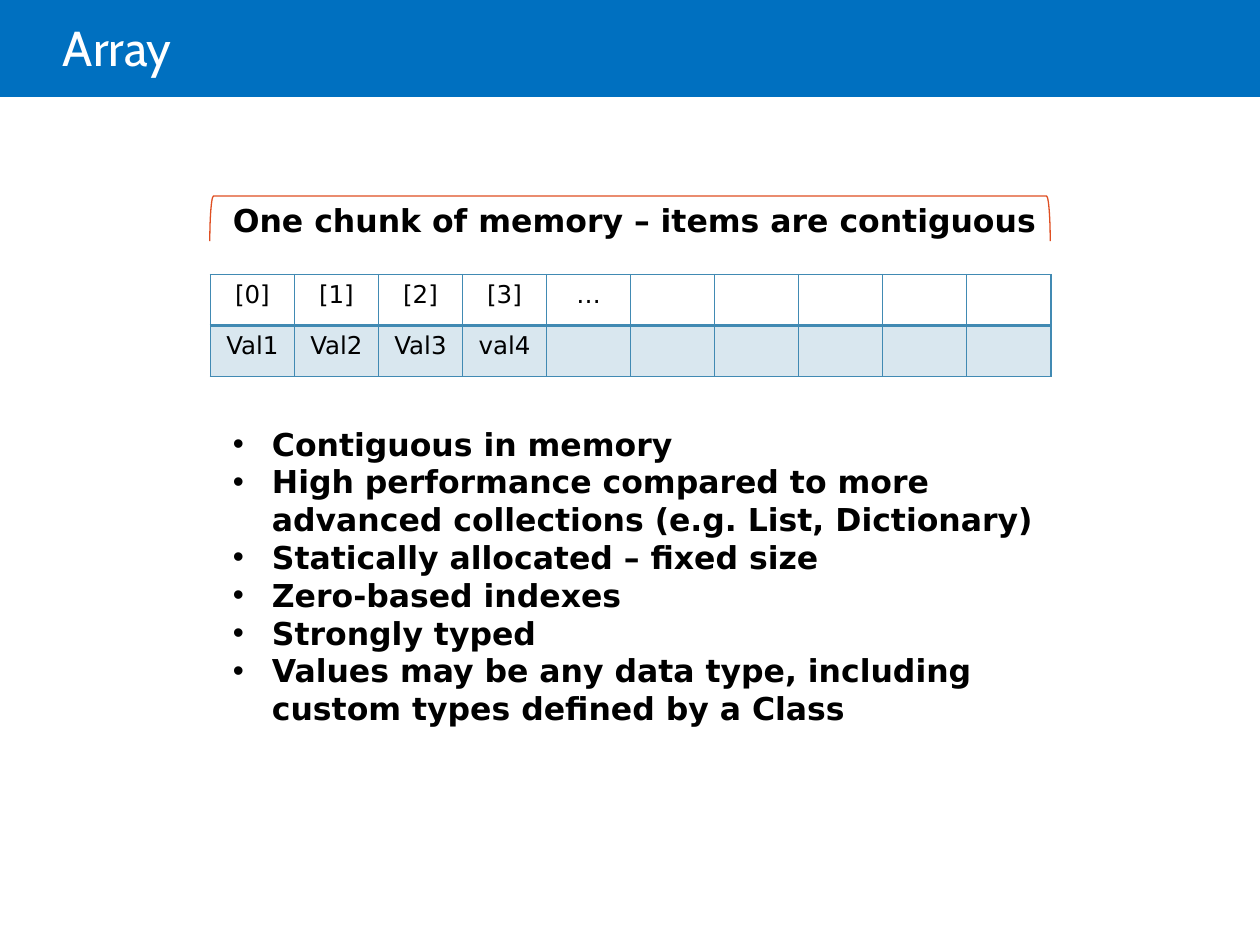
"""Build a slide that explains how an array is laid out in memory."""
from dataclasses import dataclass
from typing import Any

from lxml.etree import SubElement
from pptx import Presentation
from pptx.dml.color import RGBColor
from pptx.enum.shapes import MSO_SHAPE as Shape
from pptx.enum.text import MSO_ANCHOR as Anchor, MSO_AUTO_SIZE as AutoSize, PP_ALIGN as Align
from pptx.oxml.ns import qn
from pptx.util import Inches, Pt

BLUE, WHITE, BLACK, GRID, ORANGE = "0070C0", "FFFFFF", "000000", "418AB3", "DF4F22"
BODY_FONT = "DejaVu Sans"
COLUMNS = 10
ARRAY_LEFT, ARRAY_WIDTH, ROW_HEIGHT = 1.67, 6.67, 0.405
INDENT = 0.31
ARRAY_ROWS = (
    ("[0]", "[1]", "[2]", "[3]", "…"),
    ("Val1", "Val2", "Val3", "val4"),
)
FEATURES = (
    "Contiguous in memory",
    "High performance compared to more advanced collections (e.g. List, Dictionary)",
    "Statically allocated – fixed size",
    "Zero-based indexes",
    "Strongly typed",
    "Values may be any data type, including custom types defined by a Class",
)


@dataclass(frozen=True)
class TextBlock:
    left: float
    top: float
    width: float
    height: float
    lines: tuple[str, ...]
    font: dict[str, Any]
    frame: dict[str, Any]
    color: str = BLACK
    bulleted: bool = False
    line_spacing: float = 1.0


def rgb(value: str) -> RGBColor:
    return RGBColor.from_string(value)


def apply(target: Any, values: dict[str, Any]) -> None:
    for name, value in values.items():
        setattr(target, name, value)


def add_bullet(paragraph: Any) -> None:
    properties = paragraph._p.get_or_add_pPr()
    properties.set("marL", str(Inches(INDENT)))
    properties.set("indent", str(Inches(-INDENT)))
    SubElement(properties, qn("a:buFont"), typeface="Arial")
    SubElement(properties, qn("a:buChar"), char="•")


def add_text(slide: Any, block: TextBlock) -> None:
    box = slide.shapes.add_textbox(
        Inches(block.left), Inches(block.top), Inches(block.width), Inches(block.height))
    frame = box.text_frame
    apply(frame, block.frame)
    for number, line in enumerate(block.lines):
        paragraph = frame.add_paragraph() if number else frame.paragraphs[0]
        paragraph.line_spacing = block.line_spacing
        if block.bulleted:
            add_bullet(paragraph)
        run = paragraph.add_run()
        run.text = line
        apply(run.font, block.font)
        run.font.color.rgb = rgb(block.color)


def add_shape(slide: Any, kind: Shape, left: float, top: float, width: float, height: float) -> Any:
    shape = slide.shapes.add_shape(
        kind, Inches(left), Inches(top), Inches(width), Inches(height))
    shape.shadow.inherit = False
    return shape


def add_borders(cell: Any, widths: dict[str, float]) -> None:
    properties = cell._tc.get_or_add_tcPr()
    for side, width in widths.items():
        line = SubElement(properties, qn(f"a:{side}"), w=str(Pt(width)))
        SubElement(SubElement(line, qn("a:solidFill")), qn("a:srgbClr"), val=GRID)


def tint(cell: Any, color: str, percent: int) -> None:
    cell.fill.solid()
    cell.fill.fore_color.rgb = rgb(color)
    shade = cell._tc.tcPr.find(f"{qn('a:solidFill')}/{qn('a:srgbClr')}")
    SubElement(shade, qn("a:alpha"), val=str(percent * 1000))


def add_array(slide: Any) -> None:
    array = slide.shapes.add_table(
        len(ARRAY_ROWS), COLUMNS, Inches(ARRAY_LEFT), Inches(2.18),
        Inches(ARRAY_WIDTH), Inches(ROW_HEIGHT * len(ARRAY_ROWS))).table
    apply(array, {"first_row": False, "horz_banding": False})
    for column in array.columns:
        column.width = Inches(ARRAY_WIDTH / COLUMNS)
    for row, texts in enumerate(ARRAY_ROWS):
        array.rows[row].height = Inches(ROW_HEIGHT)
        for column in range(COLUMNS):
            cell = array.cell(row, column)
            cell.text = texts[column] if column < len(texts) else ""
            paragraph = cell.text_frame.paragraphs[0]
            paragraph.alignment = Align.CENTER
            apply(paragraph.font, {"size": Pt(14), "name": BODY_FONT})
            paragraph.font.color.rgb = rgb(BLACK)
            top, bottom = (2, 1) if row else (1, 2)
            add_borders(cell, {"lnL": 1, "lnR": 1, "lnT": top, "lnB": bottom})
            if row:
                tint(cell, GRID, 20)
            else:
                cell.fill.background()


def main() -> None:
    deck = Presentation()
    apply(deck, {"slide_width": Inches(10), "slide_height": Inches(7.5)})
    slide = deck.slides.add_slide(deck.slide_layouts[6])

    banner = add_shape(slide, Shape.RECTANGLE, 0, 0, 10, 0.77)
    banner.fill.solid()
    banner.fill.fore_color.rgb = rgb(BLUE)
    banner.line.fill.background()

    title_font = {"size": Pt(28), "name": "Cabin"}
    title_frame = {"word_wrap": True, "vertical_anchor": Anchor.MIDDLE, "margin_left": 0}
    add_text(slide, TextBlock(0.5, 0, 8.5, 0.81, ("Array",), title_font, title_frame,
                              color=WHITE, line_spacing=0.85))
    add_array(slide)

    bold = {"size": Pt(18), "name": BODY_FONT, "bold": True}
    grow = {"auto_size": AutoSize.SHAPE_TO_FIT_TEXT}
    add_text(slide, TextBlock(1.75, 3.32, 6.59, 2.52, FEATURES, bold,
                              grow | {"word_wrap": True}, bulleted=True))

    bracket = add_shape(slide, Shape.LEFT_BRACKET, 4.82, -1.6, 0.36, ARRAY_WIDTH)
    bracket.rotation = 90
    bracket.fill.background()
    bracket.line.color.rgb = rgb(ORANGE)
    bracket.line.width = Pt(0.75)

    add_text(slide, TextBlock(1.75, 1.55, 6.67, 0.4,
                              ("One chunk of memory – items are contiguous",), bold,
                              grow | {"word_wrap": False}))
    deck.save("out.pptx")


if __name__ == "__main__":
    main()
